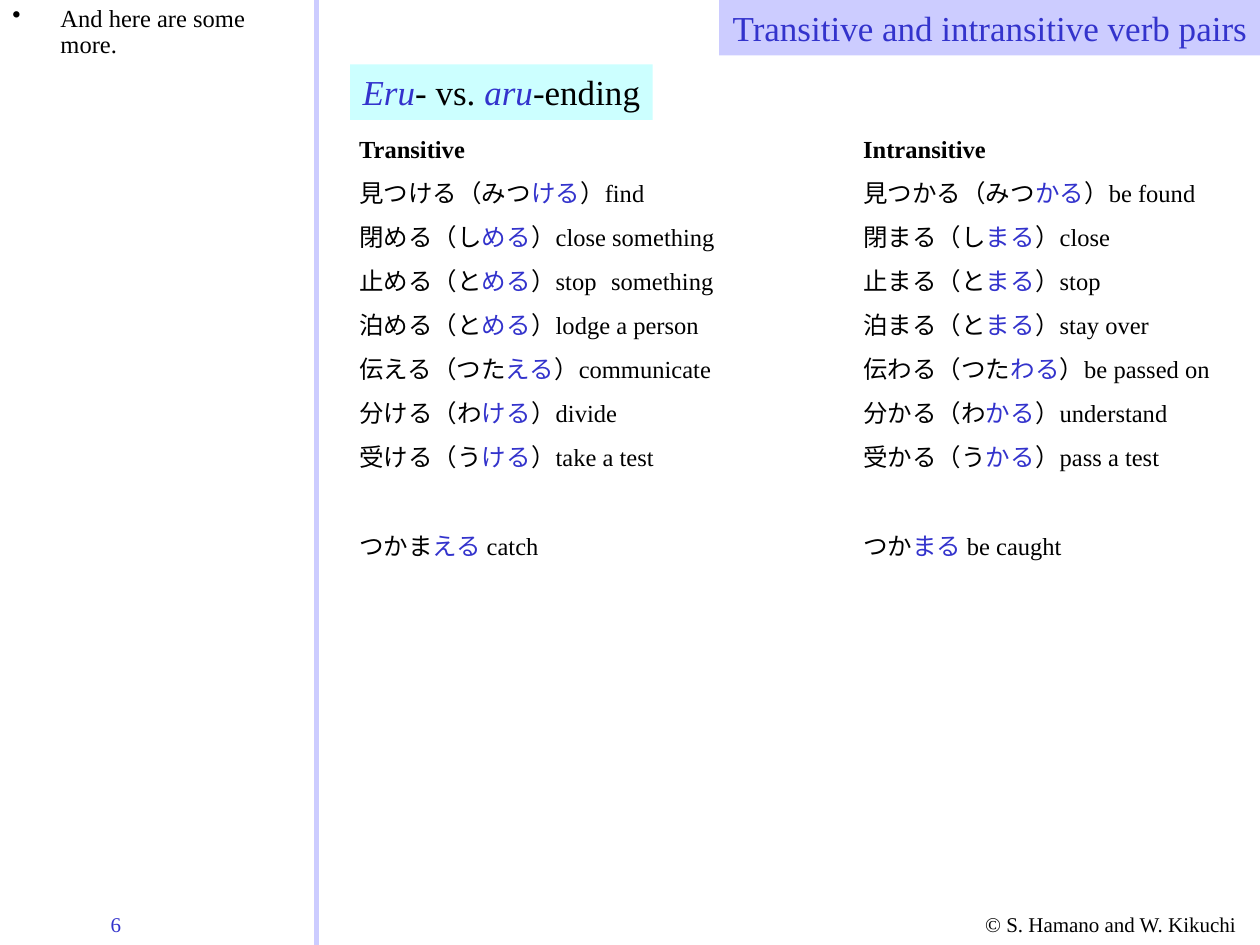
from pptx import Presentation
from pptx.dml.color import RGBColor
from pptx.enum.shapes import MSO_CONNECTOR, MSO_SHAPE
from pptx.enum.text import MSO_ANCHOR, MSO_AUTO_SIZE, PP_ALIGN
from pptx.oxml.ns import qn
from pptx.util import Cm, Pt
from lxml.etree import SubElement
from dataclasses import dataclass


@dataclass(frozen=True)
class Theme:
    """Colours, fonts and type sizes."""
    ink: str = "000000"
    blue: str = "3333CC"
    lilac: str = "CCCCFF"
    aqua: str = "CCFFFF"
    latin: str = "Times New Roman"
    kana: str = "Noto Sans CJK JP"
    head: int = 20
    body: int = 14
    foot: int = 12


THEME = Theme()
NOTE = "And here are some more."
TITLE = "Transitive and intransitive verb pairs"
TOPIC = [("Eru", True), ("- vs. ", False), ("aru", True), ("-ending", False)]
NUMBER = "6"
CREDIT = "© S. Hamano and W. Kikuchi"
HEADS = ("Transitive", "Intransitive")
PAIRS = [
    (("見つける（みつ", "ける", "find"), ("見つかる（みつ", "かる", "be found")),
    (("閉める（し", "める", "close something"), ("閉まる（し", "まる", "close")),
    (("止める（と", "める", "stop\tsomething"), ("止まる（と", "まる", "stop")),
    (("泊める（と", "める", "lodge a person"), ("泊まる（と", "まる", "stay over")),
    (("伝える（つた", "える", "communicate"), ("伝わる（つた", "わる", "be passed on")),
    (("分ける（わ", "ける", "divide"), ("分かる（わ", "かる", "understand")),
    (("受ける（う", "ける", "take a test"), ("受かる（う", "かる", "pass a test")),
    (("つかま", "える", "catch"), ("つか", "まる", "be caught")),
]
MID, COL = Cm(5.08), Cm(10.16)


def tint(hue):
    """Turn a hex string into a colour."""
    return RGBColor.from_string(hue)


def style(font, size, hue=THEME.ink):
    """Set the Latin face, size and colour of a font."""
    font.name, font.size = THEME.latin, Pt(size)
    font.color.rgb = tint(hue)


def add_run(para, text, hue=None, kana=False):
    """Add a run, in the kana face or the paragraph face."""
    run = para.add_run()
    run.text = text
    if hue:
        run.font.color.rgb = tint(hue)
    if kana:
        run.font.name = THEME.kana
        SubElement(run._r.get_or_add_rPr(), qn("a:ea")).set("typeface", THEME.kana)
    return run


def add_box(slide, left, top, width, height, wrap=True, fill=None):
    """Add a text box or a filled rectangle and return its text frame."""
    area = Cm(left), Cm(top), Cm(width), Cm(height)
    if fill:
        box = slide.shapes.add_shape(MSO_SHAPE.RECTANGLE, *area)
        box.shadow.inherit = False
        box.fill.solid()
        box.fill.fore_color.rgb = tint(fill)
        box.line.fill.background()
    else:
        box = slide.shapes.add_textbox(*area)
    frame = box.text_frame
    frame.word_wrap = wrap
    frame.vertical_anchor = MSO_ANCHOR.TOP
    frame.auto_size = MSO_AUTO_SIZE.NONE if wrap else MSO_AUTO_SIZE.SHAPE_TO_FIT_TEXT
    return frame


def add_line(frame, text, size, hue=THEME.ink, align=PP_ALIGN.LEFT):
    """Fill the first paragraph of a frame."""
    para = frame.paragraphs[0]
    para.alignment = align
    style(para.font, size, hue)
    if text:
        add_run(para, text)
    return para


def add_tabs(para, stops):
    """Set left tab stops."""
    tabs = SubElement(para._p.get_or_add_pPr(), qn("a:tabLst"))
    for stop in stops:
        tab = SubElement(tabs, qn("a:tab"))
        tab.set("pos", str(int(stop)))
        tab.set("algn", "l")


def add_verb(para, stem, end, gloss):
    """Write one verb with its ending in blue."""
    add_run(para, stem, kana=True)
    add_run(para, end, THEME.blue, kana=True)
    add_run(para, "）" if "（" in stem else " ", kana=True)
    add_run(para, gloss)


def add_pairs(slide):
    """Write the verb pairs in two tabbed columns."""
    frame = add_box(slide, 6.99, 2.57, 17.78, 8.86, wrap=False)
    head = frame.paragraphs[0]
    add_tabs(head, [COL])
    add_line(frame, "\t".join(HEADS), THEME.body).font.bold = True
    for left, right in PAIRS:
        para = frame.add_paragraph()
        add_tabs(para, [MID, COL] if "\t" in left[2] else [COL])
        para.line_spacing = 1.5
        if "（" not in left[0]:
            para.space_before = Pt(25.2)
        style(para.font, THEME.body)
        add_verb(para, *left)
        add_run(para, "\t")
        add_verb(para, *right)


def add_note(slide):
    """Write the bulleted side note."""
    frame = add_box(slide, 0, 0, 6.38, 1.45)
    props = frame.paragraphs[0]._p.get_or_add_pPr()
    props.set("marL", str(Cm(0.97)))
    props.set("indent", str(-Cm(0.97)))
    SubElement(props, qn("a:buChar")).set("char", "•")
    add_line(frame, NOTE, THEME.body).line_spacing = 0.9


def add_rule(slide):
    """Draw the upright rule beside the note."""
    rule = slide.shapes.add_connector(MSO_CONNECTOR.STRAIGHT, Cm(6.38), 0, Cm(6.38), Cm(19.05))
    rule.line.color.rgb = tint(THEME.lilac)
    rule.line.width = Pt(3)
    SubElement(rule._element.spPr, qn("a:effectLst"))


def main():
    """Build the slide and save it."""
    deck = Presentation()
    deck.slide_width, deck.slide_height = Cm(25.4), Cm(19.05)
    slide = deck.slides.add_slide(deck.slide_layouts[6])
    add_line(add_box(slide, 1.98, 18.26, 2.26, 0.76), NUMBER, THEME.foot, THEME.blue)
    add_line(add_box(slide, 19.61, 18.26, 5.79, 0.76), CREDIT, THEME.foot)
    add_note(slide)
    add_rule(slide)
    add_pairs(slide)
    title = add_box(slide, 14.5, 0, 10.9, 1.12, wrap=False, fill=THEME.lilac)
    add_line(title, TITLE, THEME.head, THEME.blue, PP_ALIGN.RIGHT)
    topic = add_line(add_box(slide, 7.06, 1.3, 6.1, 1.12, wrap=False, fill=THEME.aqua), "", THEME.head)
    for text, verb in TOPIC:
        run = add_run(topic, text, THEME.blue if verb else None)
        run.font.italic = verb
    deck.save("out.pptx")


if __name__ == "__main__":
    main()
